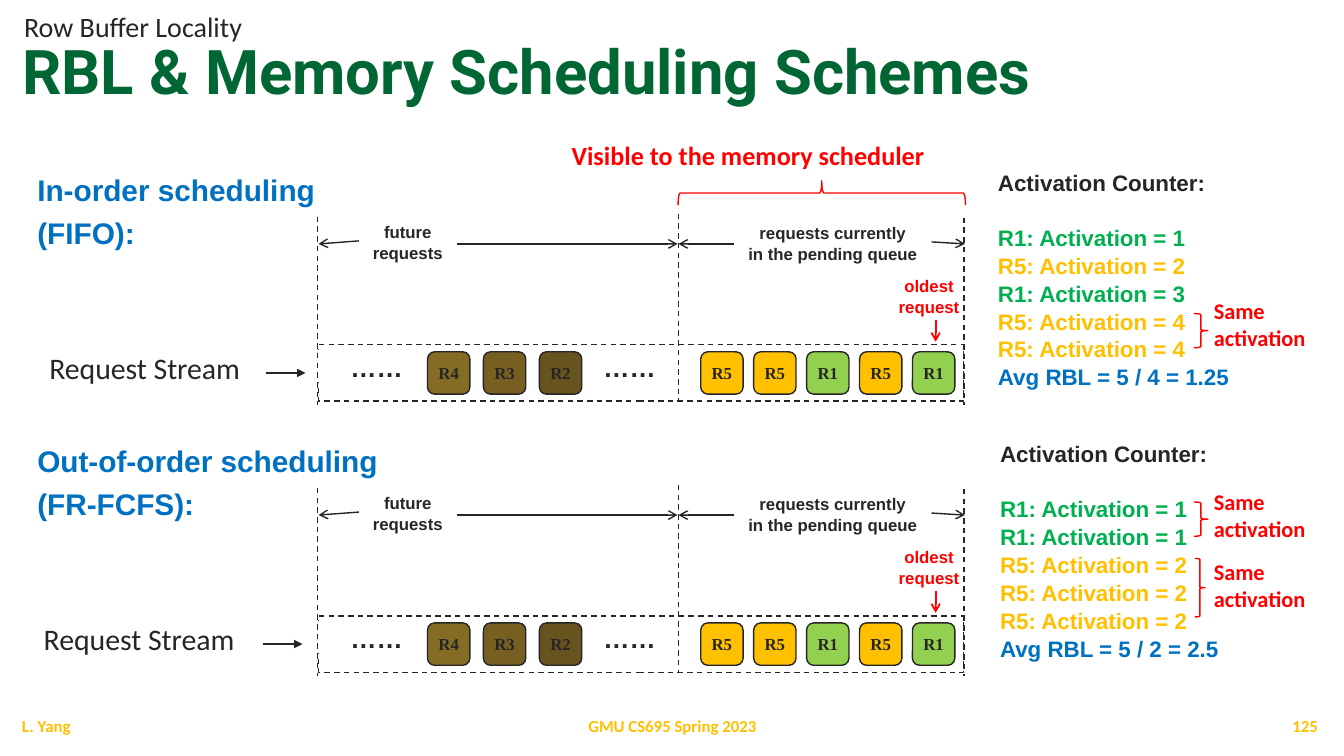
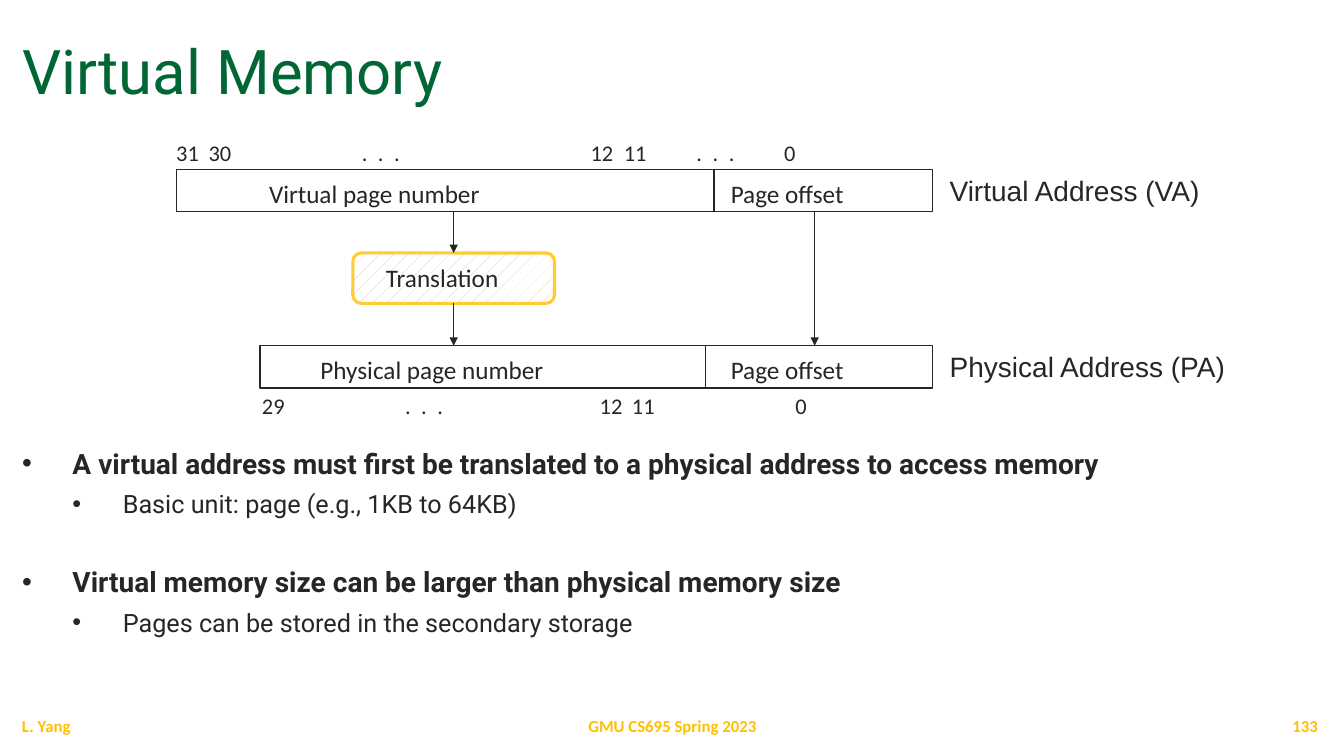
from lxml import etree
from pptx import Presentation
from pptx import util as u
from pptx.dml.color import RGBColor
from pptx.enum import dml, shapes, text
from pptx.oxml import ns


class Theme:
    ink, paper = "262626", "FFFFFF"
    green, gold, yellow = "006633", "FFC000", "FFCC33"
    red, blue, leaf, lime = "FF0000", "0070C0", "00B050", "92D050"
    browns = ("856C25", "765F21", "66531D")
    # Text styles: font, size, colour, bold
    title = ("Roboto", 44, green, False)
    title_bold = ("Roboto", 44, green, True)
    topic = ("Calibri", 20, ink, False)
    footer = ("Calibri", 12, gold, True)
    scheme = ("Arial", 21.3, blue, True)
    stream = ("Calibri", 21.3, ink, False)
    note = ("Arial", 12, ink, True)
    oldest = ("Arial", 12, red, True)
    dots = ("Arial", 18.7, ink, True)
    request = ("Times New Roman", 12, ink, True)
    counter = ("Arial", 16, ink, True)
    scope = ("Calibri", 18.7, red, True)
    same = ("Calibri", 16, red, True)
    address = ("Arial", 20, ink, False)
    field = ("Calibri", 18, ink, False)
    bits = ("Calibri", 16, ink, False)
    point = ("Roboto", 20, ink, True)
    subpoint = ("Roboto", 18, ink, False)
    line_spacing = {"Arial": 1.04}


LEFT, CENTER, RIGHT = text.PP_ALIGN.LEFT, text.PP_ALIGN.CENTER, text.PP_ALIGN.RIGHT
TOP, MIDDLE, BOTTOM = (text.MSO_ANCHOR.TOP, text.MSO_ANCHOR.MIDDLE,
                       text.MSO_ANCHOR.BOTTOM)
SHAPE = shapes.MSO_SHAPE

presentation = Presentation()
presentation.slide_width, presentation.slide_height = u.Inches(13.33), u.Inches(7.5)
# The slide is a grid of 13.33 columns by 7.5 rows
COLUMN = presentation.slide_width / 13.33
ROW = presentation.slide_height / 7.5


def add_block(slide, box, words="", style=Theme.note, align=LEFT, anchor=TOP,
              kind=None, fill=None, line=None, width=1, margins=None):
    """Add a text box, or a preset shape when kind is given."""
    left, top, wide, high = box
    place = [u.Emu(round(n)) for n in
             (left * COLUMN, top * ROW, wide * COLUMN, high * ROW)]
    if kind is None:
        shape = slide.shapes.add_textbox(*place)
    else:
        shape = slide.shapes.add_shape(kind, *place)
        shape.shadow.inherit = False
        if fill:
            shape.fill.solid()
            shape.fill.fore_color.rgb = RGBColor.from_string(fill)
        else:
            shape.fill.background()
        if line:
            shape.line.color.rgb = RGBColor.from_string(line)
            shape.line.width = u.Pt(width)
        else:
            shape.line.fill.background()
    if not words:
        return shape
    frame = shape.text_frame
    frame.word_wrap = True
    frame.vertical_anchor = anchor
    if margins:
        frame.margin_left = frame.margin_right = u.Inches(margins[0])
        frame.margin_top = frame.margin_bottom = u.Inches(margins[1])
    frame.text = words
    font, size, colour, bold = style
    for paragraph in frame.paragraphs:
        paragraph.alignment = align
        paragraph.line_spacing = Theme.line_spacing.get(font)
        for run in paragraph.runs:
            run.font.name, run.font.size, run.font.bold = font, u.Pt(size), bold
            run.font.color.rgb = RGBColor.from_string(colour)
    return shape


def add_line(slide, start, end, colour=Theme.ink, width=1, head=None, dashed=False):
    """Add a straight line, dashed or with an arrowhead at its end."""
    connector = slide.shapes.add_connector(
        shapes.MSO_CONNECTOR.STRAIGHT,
        *[u.Emu(round(n)) for n in (start[0] * COLUMN, start[1] * ROW,
                                    end[0] * COLUMN, end[1] * ROW)])
    connector.line.color.rgb = RGBColor.from_string(colour)
    connector.line.width = u.Pt(width)
    if dashed:
        connector.line.dash_style = dml.MSO_LINE.DASH
    properties = connector._element.spPr
    if head:
        outline = properties.find(ns.qn("a:ln"))
        etree.SubElement(outline, ns.qn("a:tailEnd"), type=head)
    etree.SubElement(properties, ns.qn("a:effectLst"))


# Titles and footers
slides = []
for title, style, number in (
        ("RBL & Memory Scheduling Schemes", Theme.title_bold, "125"),
        ("Virtual Memory", Theme.title, "133")):
    slide = presentation.slides.add_slide(presentation.slide_layouts[6])
    slides.append(slide)
    heading = add_block(slide, (0.12, 0.17, 13.05, 0.95), title, style, anchor=BOTTOM)
    heading.text_frame.paragraphs[0].line_spacing = 0.9
    for left, wide, words, align in ((0.12, 3, "L. Yang", LEFT),
                                     (4.42, 4.5, "GMU CS695 Spring 2023", CENTER),
                                     (10.17, 3, number, RIGHT)):
        add_block(slide, (left, 7, wide, 0.4), words, Theme.footer, align, MIDDLE)
scheduling, memory = slides

# Scheduling: topic and the part the scheduler sees
add_block(scheduling, (0.14, 0.05, 7.73, 0.44), "Row Buffer Locality", Theme.topic)
add_block(scheduling, (5.57, 1.33, 4.31, 0.42), "Visible to the memory scheduler",
          Theme.scope)
scope_brace = add_block(scheduling, (8.03, 0.49, 0.24, 2.85), kind=SHAPE.LEFT_BRACE,
                        line=Theme.red)
scope_brace.rotation = 90

# Scheduling: requests in the stream, oldest at the right
history = [(4.24 + 0.555 * i, name, colour) for i, (name, colour)
           in enumerate(zip(("R4", "R3", "R2"), Theme.browns))]
pending = [(6.95 + 0.525 * i, name, Theme.gold if name == "R5" else Theme.lime)
           for i, name in enumerate(("R5", "R5", "R1", "R5", "R1"))]

# Scheduling: one diagram per scheme
# Each has: top, name, stream label and arrow, counter left, activations, average
schemes = (
    (1.62, "In-order scheduling\n(FIFO):", (0.14, 2.59), 2.64, 9.8,
     ("R1: Activation = 1", "R5: Activation = 2", "R1: Activation = 3",
      "R5: Activation = 4", "R5: Activation = 4"), "Avg RBL = 5 / 4 = 1.25"),
    (4.31, "Out-of-order scheduling\n(FR-FCFS):", (0.15, 2.46), 2.61, 9.82,
     ("R1: Activation = 1", "R1: Activation = 1", "R5: Activation = 2",
      "R5: Activation = 2", "R5: Activation = 2"), "Avg RBL = 5 / 2 = 2.5"),
)
for top, name, (label_left, label_wide), arrow, counter_left, counts, average in schemes:
    queue, axis = top + 1.8, top + 0.8

    # Stream frame and requests
    frame = add_block(scheduling, (3.16, queue, 6.4, 0.56), kind=SHAPE.RECTANGLE,
                      fill=Theme.paper, line=Theme.ink)
    frame.line.dash_style = dml.MSO_LINE.DASH
    for left in (2.62, 5.13):
        add_block(scheduling, (left, queue + 0.05, 2.23, 0.32), "……", Theme.dots,
                  CENTER, MIDDLE, SHAPE.RECTANGLE, Theme.paper)
    for left, request, colour in history + pending:
        add_block(scheduling, (left, queue + 0.07, 0.42, 0.42), request, Theme.request,
                  CENTER, MIDDLE, SHAPE.ROUNDED_RECTANGLE, colour, Theme.ink,
                  margins=(0, 0))

    # Boundaries and the spans between them
    for across, first, last in ((3.15, 0.53, 2.4), (6.73, 0.5, 2.36), (9.56, 0.54, 2.4)):
        add_line(scheduling, (across, top + first), (across, top + last), dashed=True)
    for start, end, rise in ((3.56, 3.16, 0.03), (4.53, 6.72, 0),
                             (7.28, 6.73, 0), (9.24, 9.57, 0.02)):
        add_line(scheduling, (start, axis - rise), (end, axis), head="arrow")
    add_block(scheduling, (3.56, top + 0.52, 0.97, 0.5), "future\nrequests",
              Theme.note, CENTER)
    add_block(scheduling, (7.28, top + 0.53, 1.96, 0.5),
              "requests currently\nin the pending queue", Theme.note, CENTER)
    add_block(scheduling, (8.71, top + 1.06, 1.01, 0.5), "oldest\nrequest",
              Theme.oldest, CENTER)
    add_line(scheduling, (9.28, top + 1.55), (9.28, top + 1.77), Theme.red, 1.25, "arrow")

    # Scheme name and stream label
    label = add_block(scheduling, (0.24, top, 3.7, 1.32), name, Theme.scheme,
                      margins=(0.13, 0.07))
    label.text_frame.paragraphs[1].space_before = u.Pt(4.3)
    add_block(scheduling, (label_left, queue, label_wide, 0.46), "Request Stream",
              Theme.stream, CENTER)
    add_line(scheduling, (arrow, queue + 0.28), (arrow + 0.39, queue + 0.28),
             head="triangle")

    # Activation counter
    lines = ("Activation Counter:", *counts, average)
    counter = add_block(scheduling, (counter_left, top, 2.7, 2.52), "\n".join(lines),
                        Theme.counter)
    paragraphs = counter.text_frame.paragraphs
    paragraphs[1].space_before = u.Pt(19)
    for paragraph in paragraphs[1:]:
        colour = {"R1": Theme.leaf, "R5": Theme.gold}.get(paragraph.text[:2], Theme.blue)
        paragraph.runs[0].font.color.rgb = RGBColor.from_string(colour)

# Scheduling: requests that share an activation
for brace_box, label_top in (((11.84, 3.11, 0.14, 0.34), 2.9),
                             ((11.84, 4.98, 0.14, 0.34), 4.79),
                             ((11.85, 5.54, 0.1, 0.58), 5.49)):
    brace = add_block(scheduling, brace_box, kind=SHAPE.LEFT_BRACE, line=Theme.red)
    brace.rotation = 180
    add_block(scheduling, (11.94, label_top, 1.33, 0.64), "Same\nactivation", Theme.same)

# Memory: address words
# Each has: left, top, divider, page label and its left, address name, bit row top, bits
addresses = (
    (1.75, 1.68, 7.08, "Virtual page number", 2.57, "Virtual Address (VA)", 1.33,
     ((1.75, "31"), (2.07, "30"), (3.59, "."), (3.75, "."), (3.91, "."), (5.86, "12"),
      (6.19, "11"), (6.91, "."), (7.07, "."), (7.23, "."), (7.78, "0"))),
    (2.58, 3.43, 7, "Physical page number", 3.08, "Physical Address (PA)", 3.84,
     ((2.6, "29"), (4.02, "."), (4.18, "."), (4.34, "."), (5.95, "12"), (6.27, "11"),
      (7.89, "0"))),
)
for left, top, divider, page, page_left, name, bits_top, bits in addresses:
    add_block(memory, (left, top, 9.25 - left, 0.42), kind=SHAPE.RECTANGLE,
              line=Theme.ink)
    add_line(memory, (divider, top), (divider, top + 0.42))
    add_block(memory, (page_left, top + 0.04, 2.7, 0.4), page, Theme.field)
    add_block(memory, (7.15, top + 0.04, 1.6, 0.4), "Page offset", Theme.field)
    add_block(memory, (9.32, top - 0.02, 3.4, 0.44), name, Theme.address)
    origin = bits[0][0]
    ruler = add_block(memory, (origin - 0.1, bits_top, 6.8, 0.37),
                      "\t".join(bit for _, bit in bits), Theme.bits)
    properties = ruler.text_frame.paragraphs[0]._p.get_or_add_pPr()
    stops = etree.SubElement(properties, ns.qn("a:tabLst"))
    for position, _ in bits[1:]:
        etree.SubElement(stops, ns.qn("a:tab"), algn="l",
                         pos=str(u.Inches(position - origin)))

# Memory: translation
translation = add_block(memory, (3.5, 2.51, 2, 0.5),
                        kind=SHAPE.FLOWCHART_ALTERNATE_PROCESS,
                        line=Theme.yellow, width=2.25)
translation.fill.patterned()
translation.fill.pattern = dml.MSO_PATTERN.PERCENT_5
translation.fill.fore_color.rgb = RGBColor.from_string(Theme.yellow)
translation.fill.back_color.rgb = RGBColor.from_string(Theme.paper)
add_block(memory, (3.73, 2.55, 1.6, 0.4), "Translation", Theme.field)
for across, start, end in ((4.5, 2.1, 2.51), (4.5, 3.01, 3.43), (8.08, 2.1, 3.43)):
    add_line(memory, (across, start), (across, end), head="triangle")

# Memory: bullet points, as level, space before and words
points = (
    (0, 0, "A virtual address must first be translated to a physical address "
           "to access memory"),
    (1, 6, "Basic unit: page (e.g., 1KB to 64KB)"),
    (0, 33, "Virtual memory size can be larger than physical memory size"),
    (1, 6, "Pages can be stored in the secondary storage"),
)
body = add_block(memory, (0.12, 4.38, 13.05, 2.52),
                 "\n".join(words for _, _, words in points), Theme.point)
for paragraph, (level, space, _) in zip(body.text_frame.paragraphs, points):
    properties = paragraph._p.get_or_add_pPr()
    properties.set("marL", str(u.Inches(0.5 * (level + 1))))
    properties.set("indent", str(u.Inches(-0.5)))
    etree.SubElement(properties, ns.qn("a:buFont"), typeface="Arial")
    etree.SubElement(properties, ns.qn("a:buChar"), char="•")
    paragraph.level = level
    paragraph.space_before = u.Pt(space)
    if level:
        _, size, _, bold = Theme.subpoint
        paragraph.runs[0].font.size, paragraph.runs[0].font.bold = u.Pt(size), bold

presentation.save("out.pptx")
